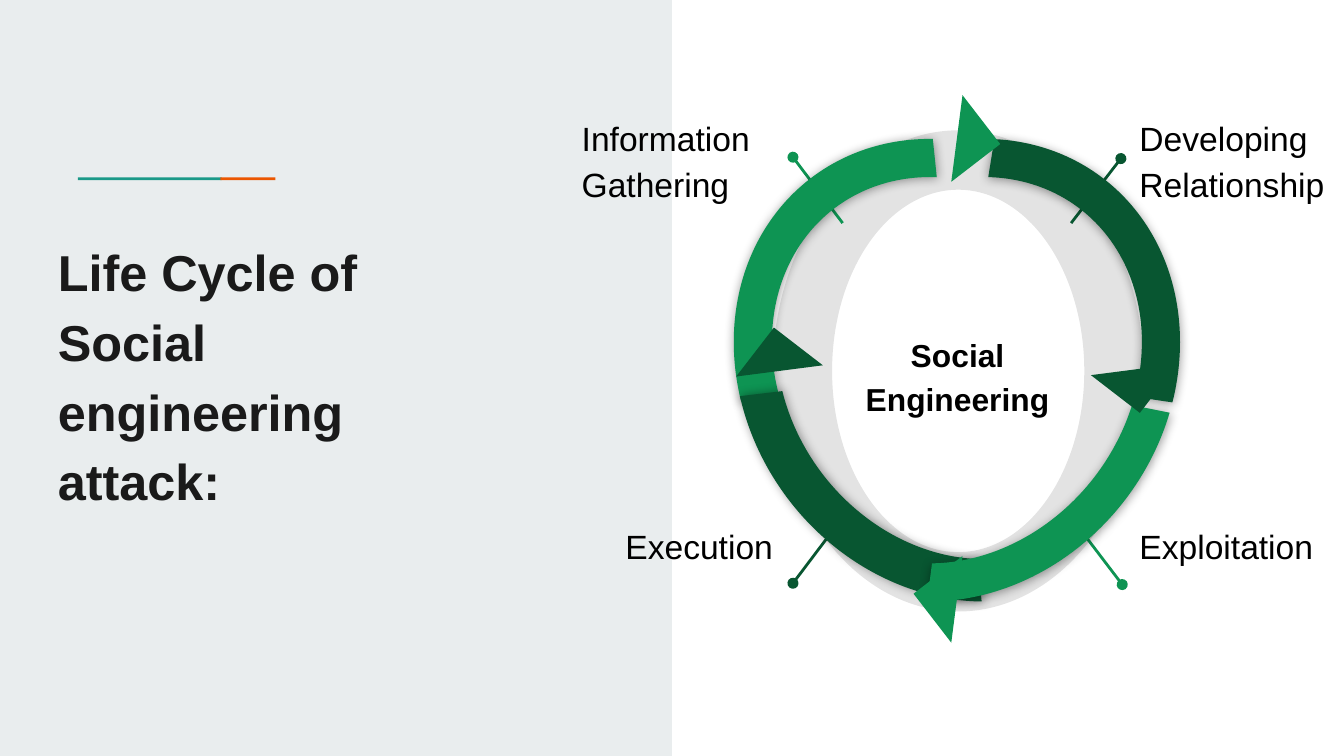
"""Build a slide showing the life cycle of a social engineering attack."""
from dataclasses import dataclass

from lxml.etree import SubElement
from pptx import Presentation
from pptx.dml.color import RGBColor
from pptx.enum.shapes import MSO_CONNECTOR, MSO_SHAPE
from pptx.enum.text import MSO_ANCHOR, MSO_AUTO_SIZE, PP_ALIGN
from pptx.oxml.ns import qn
from pptx.util import Inches, Pt


@dataclass(frozen=True)
class Theme:
    font: str = "Arial"
    panel: str = "E9EDEE"
    teal: str = "1A9988"
    orange: str = "EB5600"
    ink: str = "1A1A1A"
    black: str = "000000"
    light: str = "0E9453"
    dark: str = "085631"
    title_size: int = 27
    center_size: int = 17
    label_size: int = 18


THEME = Theme()
WIDTH = 10
HEIGHT = WIDTH * 9 / 16
TITLE = "Life Cycle of Social engineering attack:"
CENTER = "Social Engineering"
ACCENTS = [(0.58, 1.07, THEME.teal), (1.64, 0.41, THEME.orange)]

LABEL_COLUMNS = 4.23, 8.38
LABEL_ROWS = 0.73, 3.77
LABEL_SIZE = 1.62, 0.94
STAGES = [
    ("Information Gathering", 0, 0, PP_ALIGN.LEFT, THEME.light, (5.9, 1.17), (6.27, 1.66)),
    ("Execution", 0, 1, PP_ALIGN.RIGHT, THEME.dark, (5.9, 4.34), (6.27, 3.85)),
    ("Exploitation", 1, 1, PP_ALIGN.LEFT, THEME.light, (8.35, 4.35), (7.97, 3.85)),
    ("Developing Relationship", 1, 0, PP_ALIGN.LEFT, THEME.dark, (8.34, 1.18), (7.97, 1.66)),
]

ARC_BOX = 5.54, 0.96, 3.16, 3.59
UPPER_LEFT_ARC = (323.2, True, (143.49, 198.72, 0.09), THEME.light, 90)
FRONT_ARCS = [
    (36.8, False, (145.46, 199.02, 0.09), THEME.dark, 90),
    (143.2, False, (180.42, 17.99, 0.1), THEME.dark, 0),
    (216.8, True, (179.67, 15.3, 0.09), THEME.light, 90),
]
ARROW_SIDE = 0.46
ARROWS = [
    (5.57, 2.53, 127.6, THEME.dark),
    (8.21, 2.52, 307.6, THEME.dark),
    (6.89, 4.23, 52.4, THEME.light),
    (6.89, 0.8, 232.4, THEME.light),
]


def color(value):
    return RGBColor.from_string(value)


def add_filled(slide, kind, box, fill, rotation=0):
    shape = slide.shapes.add_shape(kind, *map(Inches, box))
    shape.shadow.inherit = False
    shape.fill.solid()
    shape.fill.fore_color.rgb = color(fill)
    shape.line.fill.background()
    shape.rotation = rotation
    return shape


def write(shape, text, size, ink, bold=False, align=PP_ALIGN.LEFT, anchor=MSO_ANCHOR.TOP):
    frame = shape.text_frame
    frame.word_wrap = True
    frame.auto_size = MSO_AUTO_SIZE.NONE
    frame.vertical_anchor = anchor
    frame.margin_left = frame.margin_right = Inches(0.1)
    frame.margin_top = frame.margin_bottom = Inches(0.1)
    frame.text = text
    paragraph = frame.paragraphs[0]
    paragraph.alignment = align
    paragraph.line_spacing = 1.15
    paragraph.font.name = THEME.font
    paragraph.font.size = Pt(size)
    paragraph.font.bold = bold
    paragraph.font.color.rgb = color(ink)
    return paragraph


def add_arc(slide, rotation, flipped, adjustments, fill, direction):
    arc = add_filled(slide, MSO_SHAPE.BLOCK_ARC, ARC_BOX, fill, rotation)
    for index, value in enumerate(adjustments):
        arc.adjustments[index] = value
    properties = arc._element.spPr
    if flipped:
        properties.find(qn("a:xfrm")).set("flipH", "1")
    shadow = SubElement(
        properties.find(qn("a:effectLst")), qn("a:outerShdw"),
        blurRad=str(Pt(5.6)), dist=str(Pt(0.8)), dir=str(direction * 60000),
        algn="bl", rotWithShape="0")
    shade = SubElement(shadow, qn("a:srgbClr"), val=THEME.black)
    SubElement(shade, qn("a:alpha"), val="40000")


def add_stage(slide, text, column, row, align, line_color, start, end):
    line = slide.shapes.add_connector(
        MSO_CONNECTOR.STRAIGHT, *map(Inches, start + end))
    line.line.color.rgb = color(line_color)
    line.line.width = Pt(1.5)
    SubElement(line.line._get_or_add_ln(), qn("a:headEnd"), type="oval")
    SubElement(line._element.spPr, qn("a:effectLst"))
    box = (LABEL_COLUMNS[column], LABEL_ROWS[row]) + LABEL_SIZE
    label = slide.shapes.add_textbox(*map(Inches, box))
    write(label, text, THEME.label_size, THEME.black, align=align)


def add_title(slide):
    add_filled(slide, MSO_SHAPE.RECTANGLE, (0, 0, WIDTH / 2, HEIGHT), THEME.panel)
    for left, width, fill in ACCENTS:
        add_filled(slide, MSO_SHAPE.RECTANGLE, (left, 1.32, width, 0.02), fill)
    title = slide.shapes.title
    title.left, title.top, title.width, title.height = map(Inches, (0.33, 1.63, 3.23, 1.97))
    paragraph = write(title, TITLE, THEME.title_size, THEME.ink, bold=True)
    paragraph.space_before = Pt(0)
    paragraph.space_after = Pt(16)
    slide.shapes._spTree.append(title._element)


def add_cycle(slide):
    ring = add_filled(slide, MSO_SHAPE.DONUT, (5.75, 0.97, 2.76, 3.58), THEME.black)
    ring.adjustments[0] = 0.16
    shade = ring._element.spPr.find(qn("a:solidFill"))[0]
    SubElement(shade, qn("a:alpha"), val="11000")
    for index, stage in enumerate(STAGES):
        if index == 2:
            add_arc(slide, *UPPER_LEFT_ARC)
        add_stage(slide, *stage)
    center = slide.shapes.add_textbox(*map(Inches, (6.34, 2.22, 1.57, 1.13)))
    write(center, CENTER, THEME.center_size, THEME.black, bold=True,
          align=PP_ALIGN.CENTER, anchor=MSO_ANCHOR.MIDDLE)
    for arc in FRONT_ARCS:
        add_arc(slide, *arc)
    for left, top, rotation, fill in ARROWS:
        box = (left, top, ARROW_SIDE, ARROW_SIDE)
        add_filled(slide, MSO_SHAPE.RIGHT_TRIANGLE, box, fill, rotation)


def main():
    presentation = Presentation()
    presentation.slide_width = Inches(WIDTH)
    presentation.slide_height = Inches(HEIGHT)
    slide = presentation.slides.add_slide(presentation.slide_layouts[5])
    add_title(slide)
    add_cycle(slide)
    presentation.save("out.pptx")


if __name__ == "__main__":
    main()
